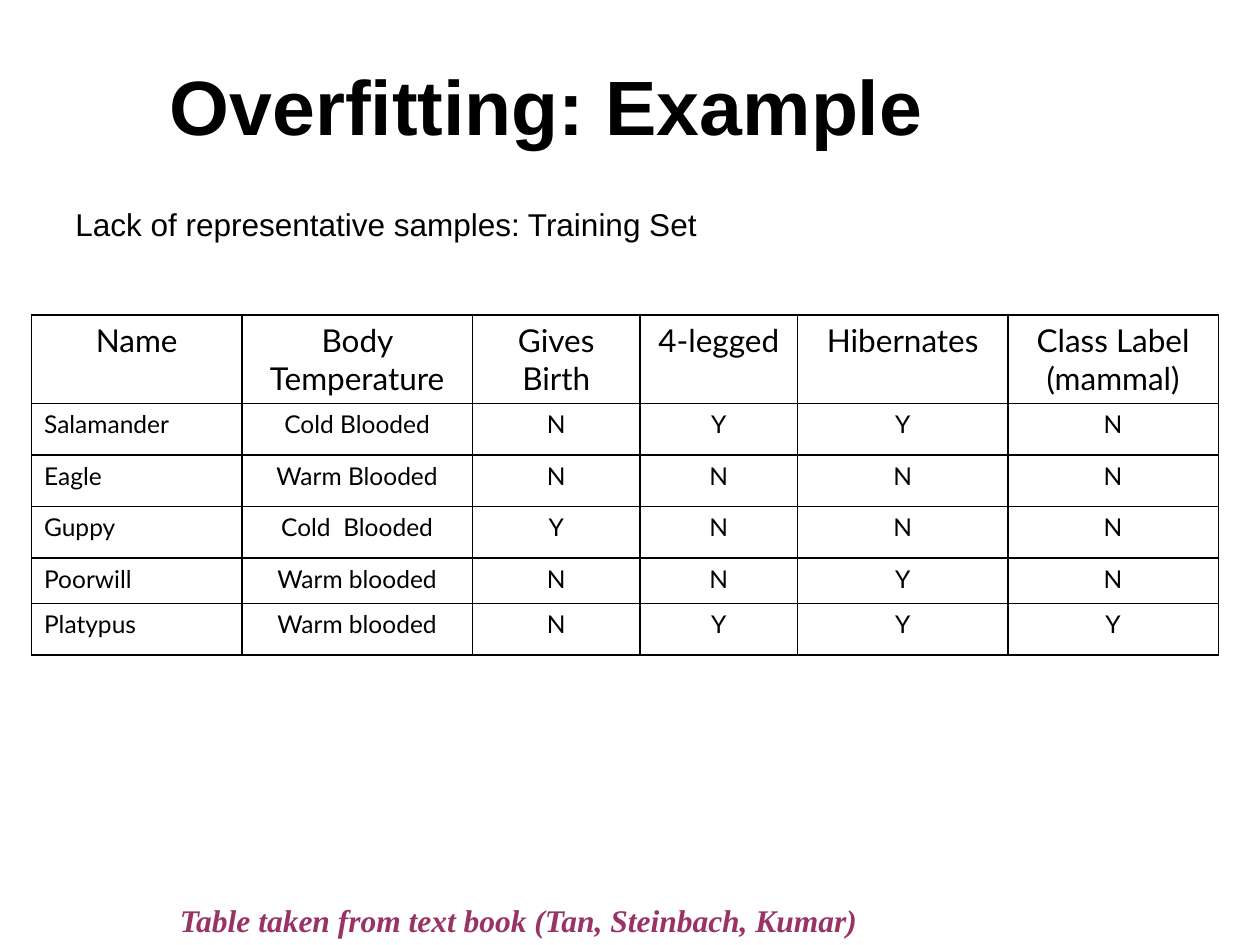
from dataclasses import dataclass

from lxml.etree import SubElement
from pptx import Presentation
from pptx.dml.color import RGBColor
from pptx.enum.text import MSO_ANCHOR, PP_ALIGN
from pptx.oxml.ns import qn
from pptx.util import Inches, Pt


@dataclass(frozen=True)
class Theme:
    ink: str = "000000"
    accent: str = "993366"
    sans: str = "Arial"
    table: str = "Lato"
    serif: str = "Times New Roman"
    title_size: int = 44
    text_size: int = 18
    cell_size: int = 14
    border: float = 1


@dataclass(frozen=True)
class Box:
    left: float
    top: float
    width: float
    height: float

    def emu(self) -> tuple:
        return tuple(Inches(v) for v in (self.left, self.top, self.width, self.height))


@dataclass(frozen=True)
class Animal:
    name: str
    temperature: str
    flags: str  # gives birth, 4-legged, hibernates, mammal
    height: float = 0.41

    def values(self) -> list[str]:
        return [self.name, self.temperature, *self.flags]


THEME = Theme()
HEADERS = ["Name", "Body Temperature", "Gives Birth", "4-legged",
           "Hibernates", "Class Label\n(mammal)"]
HEADER_HEIGHT = 0.7
COLUMN_WIDTHS = [1.67, 1.83, 1.33, 1.25, 1.67, 1.67]
ANIMALS = [
    Animal("Salamander", "Cold Blooded", "NYYN"),
    Animal("Eagle", "Warm Blooded", "NNNN"),
    Animal("Guppy", "Cold  Blooded", "YNNN"),
    Animal("Poorwill", "Warm blooded", "NNYN", height=0.36),
    Animal("Platypus", "Warm blooded", "NYYY"),
]


def write(tf, text: str, *, font: str, size: int, color: str = THEME.ink,
          bold: bool = False, italic: bool = False,
          align=PP_ALIGN.LEFT, before: float = 0) -> None:
    """Fill a text frame, one paragraph per line of text."""
    for i, line in enumerate(text.split("\n")):
        p = tf.add_paragraph() if i else tf.paragraphs[0]
        p.alignment = align
        p.space_before = Pt(before)
        r = p.add_run()
        r.text = line
        r.font.name, r.font.size = font, Pt(size)
        r.font.bold, r.font.italic = bold, italic
        r.font.color.rgb = RGBColor.from_string(color)


def add_text(s, box: Box, text: str, anchor=MSO_ANCHOR.TOP, **fmt) -> None:
    tf = s.shapes.add_textbox(*box.emu()).text_frame
    tf.word_wrap = True
    tf.vertical_anchor = anchor
    write(tf, text, **fmt)


def set_borders(cell) -> None:
    tc_pr = cell._tc.get_or_add_tcPr()
    for side in ("a:lnL", "a:lnR", "a:lnT", "a:lnB"):
        ln = SubElement(tc_pr, qn(side), w=str(Pt(THEME.border)))
        fill = SubElement(ln, qn("a:solidFill"))
        SubElement(fill, qn("a:srgbClr"), val=THEME.ink)


def add_animal_table(s, box: Box) -> None:
    rows = [HEADERS] + [animal.values() for animal in ANIMALS]
    heights = [HEADER_HEIGHT] + [animal.height for animal in ANIMALS]
    table = s.shapes.add_table(len(rows), len(HEADERS), *box.emu()).table
    table.first_row = table.horz_banding = False
    for column, width in zip(table.columns, COLUMN_WIDTHS):
        column.width = Inches(width)
    for i, (values, height) in enumerate(zip(rows, heights)):
        table.rows[i].height = Inches(height)
        for j, value in enumerate(values):
            cell = table.cell(i, j)
            set_borders(cell)
            cell.fill.background()
            is_name = i > 0 and j == 0
            write(cell.text_frame, value, font=THEME.table,
                  size=THEME.cell_size if i else THEME.text_size,
                  align=PP_ALIGN.LEFT if is_name else PP_ALIGN.CENTER)


def main() -> None:
    prs = Presentation()
    prs.slide_width, prs.slide_height = Inches(10), Inches(7.5)
    s = prs.slides.add_slide(prs.slide_layouts[6])

    # Title and lead line
    add_text(s, Box(1.25, 0.33, 8.17, 0.92), "Overfitting: Example",
             anchor=MSO_ANCHOR.BOTTOM, font=THEME.sans,
             size=THEME.title_size, bold=True)
    add_text(s, Box(0.5, 1.58, 9.17, 5.08),
             "Lack of representative samples: Training Set",
             font=THEME.sans, size=THEME.text_size, before=3.6)

    # Training set
    add_animal_table(s, Box(0.25, 2.5, 9.42, 2.68))

    # Source line
    add_text(s, Box(1.33, 7.1, 7.67, 0.4),
             "Table taken from text book (Tan, Steinbach, Kumar)",
             font=THEME.serif, size=THEME.text_size, color=THEME.accent,
             bold=True, italic=True)

    prs.save("out.pptx")


main()
